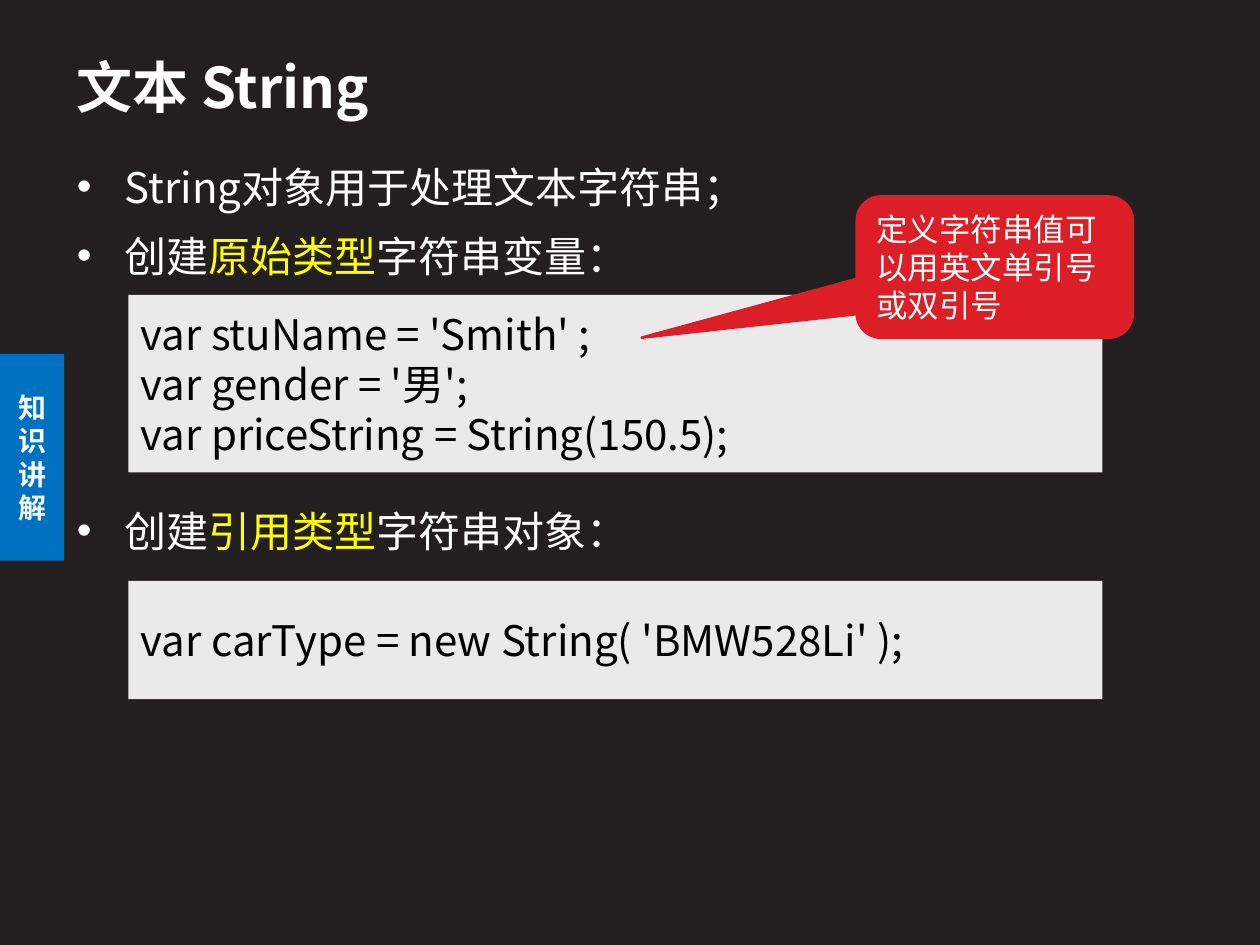
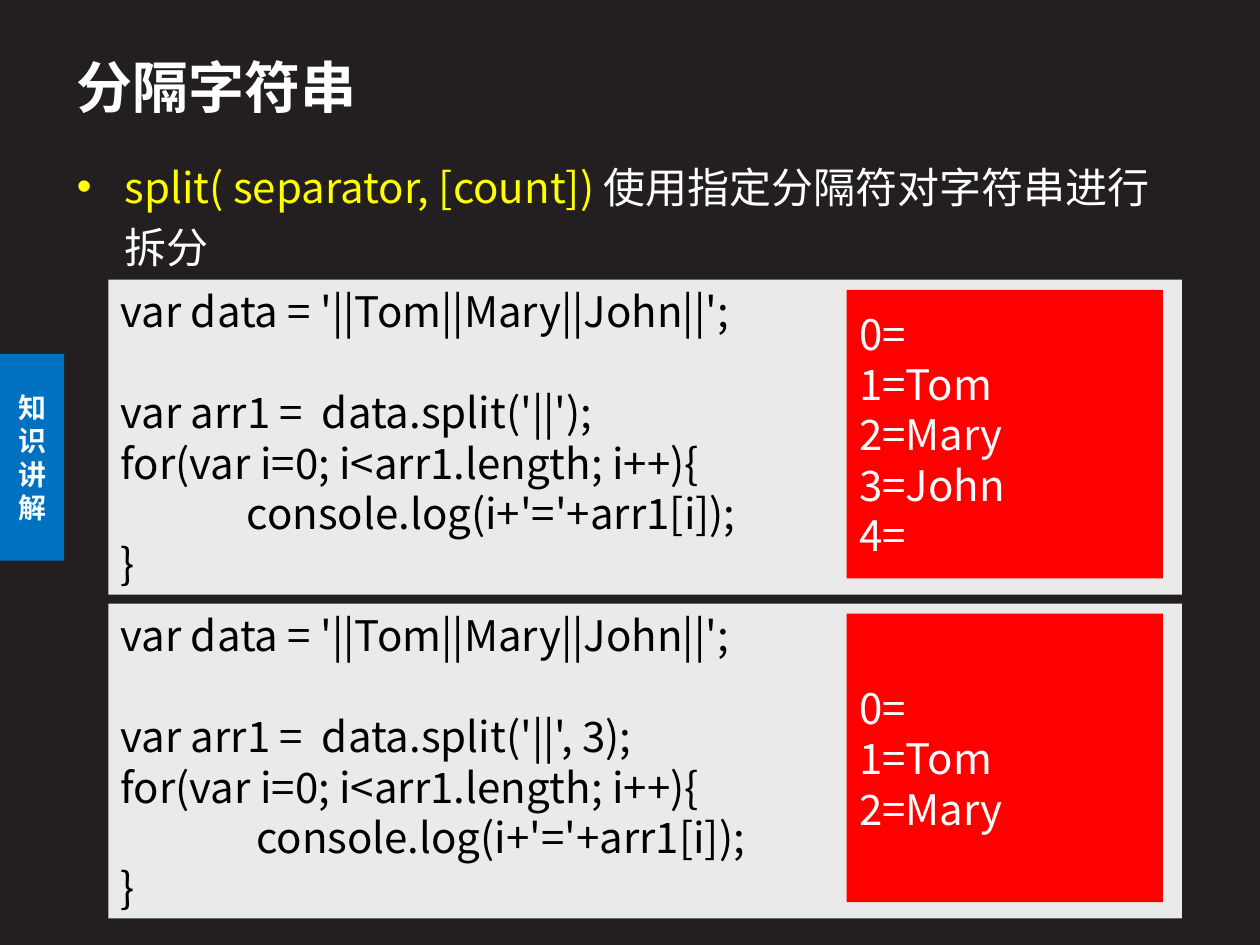
"""Build two lesson slides about JavaScript strings."""
from dataclasses import dataclass

from lxml import etree
from pptx import Presentation
from pptx import util as u
from pptx.dml.color import RGBColor
from pptx.enum import shapes, text
from pptx.oxml import ns

FONT = "Noto Sans CJK SC"
DARK, WHITE, BLACK = "231F20", "FFFFFF", "000000"
BLUE, TAB_TEXT, YELLOW = "0070C0", "F9FAFB", "FFFF00"
CODE_GREY, CALLOUT_RED, RESULT_RED = "EAEAEA", "DC1F26", "FF0000"
BODY_SIZE = 24
CODE_LINE = 28.8
BULLET_GAP = 4.8
BULLET_INDENT = u.Inches(0.38)
RECTANGLE = shapes.MSO_SHAPE.RECTANGLE


@dataclass
class Frame:
    """A place on the slide in inches."""
    left: float
    top: float
    width: float
    height: float


@dataclass
class Span:
    """A piece of text in one colour."""
    text: str
    color: str = WHITE


@dataclass
class Bullet:
    """A list item and the space before it in points."""
    spans: list[Span]
    before: float = BULLET_GAP


@dataclass
class Panel:
    """A filled rectangle with left-aligned lines."""
    frame: Frame
    lines: list[str]
    fill: str = CODE_GREY
    color: str = BLACK


def rgb(value: str) -> RGBColor:
    """Turn a hex string into a colour."""
    return RGBColor.from_string(value)


def add_text(para, content: str, *, size: float = BODY_SIZE,
             color: str = WHITE, bold: bool = False) -> None:
    """Add a formatted run to a paragraph."""
    span = para.add_run()
    span.text = content
    span.font.size = u.Pt(size)
    span.font.bold = bold
    span.font.name = FONT
    span.font.color.rgb = rgb(color)
    east_asian = etree.SubElement(span.font._element, ns.qn("a:ea"))
    east_asian.set("typeface", FONT)


def place(box, frame: Frame) -> None:
    """Move and size an object."""
    box.left, box.top = u.Inches(frame.left), u.Inches(frame.top)
    box.width, box.height = u.Inches(frame.width), u.Inches(frame.height)


def next_para(frame, index: int):
    """Return the first paragraph of a text frame or a new one."""
    return frame.paragraphs[0] if index == 0 else frame.add_paragraph()


def add_box(page, frame: Frame, fill: str, *, kind=RECTANGLE):
    """Add a flat filled shape without an outline."""
    box = page.shapes.add_shape(kind, 0, 0, 0, 0)
    place(box, frame)
    box.shadow.inherit = False
    box.fill.solid()
    box.fill.fore_color.rgb = rgb(fill)
    box.line.fill.background()
    box.text_frame.word_wrap = True
    box.text_frame.vertical_anchor = text.MSO_ANCHOR.MIDDLE
    return box


def add_panel(page, panel: Panel) -> None:
    """Draw a panel, turning empty code lines into space before the next."""
    frame = add_box(page, panel.frame, panel.fill).text_frame
    before = 0
    index = 0
    for line in panel.lines:
        if not line:
            before += CODE_LINE
            continue
        para = next_para(frame, index)
        para.alignment = text.PP_ALIGN.LEFT
        para.space_before = u.Pt(before)
        if "\t" in line:
            stops = etree.SubElement(para._p.get_or_add_pPr(), ns.qn("a:tabLst"))
            etree.SubElement(stops, ns.qn("a:tab"), pos=str(u.Inches(1)), algn="l")
        add_text(para, line, color=panel.color)
        before = 0
        index += 1


def add_callout(page, frame: Frame, content: str) -> None:
    """Draw the red speech callout that points at the code."""
    box = add_box(page, frame, CALLOUT_RED,
                  kind=shapes.MSO_SHAPE.ROUNDED_RECTANGULAR_CALLOUT)
    for index, value in enumerate((-1.28, 0.5, 0.17)):
        box.adjustments[index] = value
    box.line.color.rgb = rgb(CALLOUT_RED)
    box.line.width = u.Pt(1.5)
    para = box.text_frame.paragraphs[0]
    para.alignment = text.PP_ALIGN.LEFT
    add_text(para, content, size=18)


def fill_body(body, frame: Frame, bullets: list[Bullet]) -> None:
    """Place the body and write its bullets."""
    place(body, frame)
    body.text_frame.auto_size = text.MSO_AUTO_SIZE.NONE
    for index, bullet in enumerate(bullets):
        para = next_para(body.text_frame, index)
        para.line_spacing = 1.2
        para.space_before = u.Pt(bullet.before if index else 0)
        props = para._p.get_or_add_pPr()
        props.set("marL", str(BULLET_INDENT))
        props.set("indent", str(-BULLET_INDENT))
        etree.SubElement(props, ns.qn("a:buChar"), char="•")
        for span in bullet.spans:
            add_text(para, span.text, color=span.color)


def add_page(deck, title: str, body_frame: Frame, bullets: list[Bullet]):
    """Add a slide with the shared side tab, title and list."""
    page = deck.slides.add_slide(deck.slide_layouts[1])
    side_tab = add_box(page, Frame(0, 2.81, 0.51, 1.64), BLUE)
    para = side_tab.text_frame.paragraphs[0]
    para.alignment = text.PP_ALIGN.CENTER
    add_text(para, "知识讲解", size=16, color=TAB_TEXT, bold=True)

    heading = page.shapes.title
    place(heading, Frame(0.51, 0.29, 7.4, 0.78))
    heading.text_frame.auto_size = text.MSO_AUTO_SIZE.NONE
    heading.text_frame.vertical_anchor = text.MSO_ANCHOR.MIDDLE
    para = heading.text_frame.paragraphs[0]
    para.alignment = text.PP_ALIGN.LEFT
    add_text(para, title, size=32, bold=True)
    fill_body(page.placeholders[1], body_frame, bullets)
    return page


def build_string_page(deck) -> None:
    """Build the slide on creating strings."""
    page = add_page(deck, "文本 String", Frame(0.51, 1.15, 8.82, 3.98), [
        Bullet([Span("String对象用于处理文本字符串；")]),
        Bullet([Span("创建"), Span("原始类型", YELLOW), Span("字符串变量：")]),
        Bullet([Span("创建"), Span("引用类型", YELLOW), Span("字符串对象：")],
               before=122.5),
    ])
    add_panel(page, Panel(Frame(1.02, 2.34, 7.73, 1.41), [
        "var stuName = 'Smith' ;",
        "var gender = '男';",
        "var priceString = String(150.5);",
    ]))
    add_callout(page, Frame(6.8, 1.56, 2.19, 1.12),
                "定义字符串值可以用英文单引号或双引号")
    add_panel(page, Panel(Frame(1.02, 4.61, 7.73, 0.94),
                          ["var carType = new String( 'BMW528Li' );"]))


def build_split_page(deck) -> None:
    """Build the slide on splitting strings, with code beside its result."""
    page = add_page(deck, "分隔字符串", Frame(0.51, 1.15, 8.82, 1.07), [
        Bullet([Span("split( separator, [count]) ", YELLOW),
                Span("使用指定分隔符对字符串进行拆分")]),
    ])
    examples = [
        ("'||'", "\t", ["0=", "1=Tom", "2=Mary", "3=John", "4="]),
        ("'||', 3", "\t ", ["0=", "1=Tom", "2=Mary"]),
    ]
    for row, (arguments, indent, result) in enumerate(examples):
        top = 2.22 + row * 2.57
        add_panel(page, Panel(Frame(0.86, top, 8.52, 2.5), [
            "var data = '||Tom||Mary||John||';",
            "",
            f"var arr1 =  data.split({arguments});",
            "for(var i=0; i<arr1.length; i++){",
            f"{indent}console.log(i+'='+arr1[i]);",
            "}",
        ]))
        add_panel(page, Panel(Frame(6.72, top + 0.08, 2.51, 2.29), result,
                              RESULT_RED, WHITE))


def main() -> None:
    """Create the deck and save it."""
    deck = Presentation()
    deck.slide_width, deck.slide_height = u.Inches(10), u.Inches(7.5)
    backdrop = deck.slide_master.background.fill
    backdrop.solid()
    backdrop.fore_color.rgb = rgb(DARK)
    build_string_page(deck)
    build_split_page(deck)
    deck.save("out.pptx")


if __name__ == "__main__":
    main()
